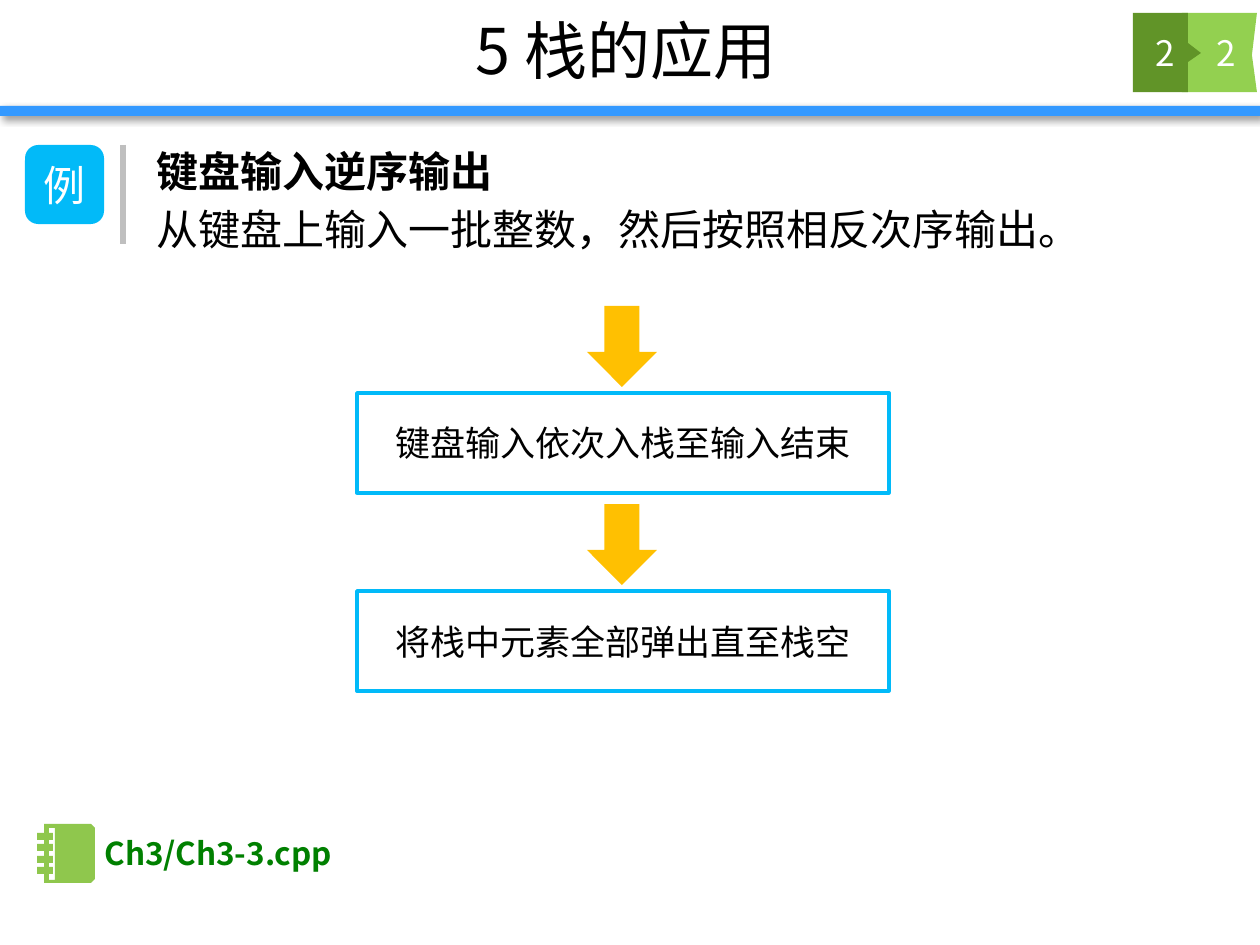
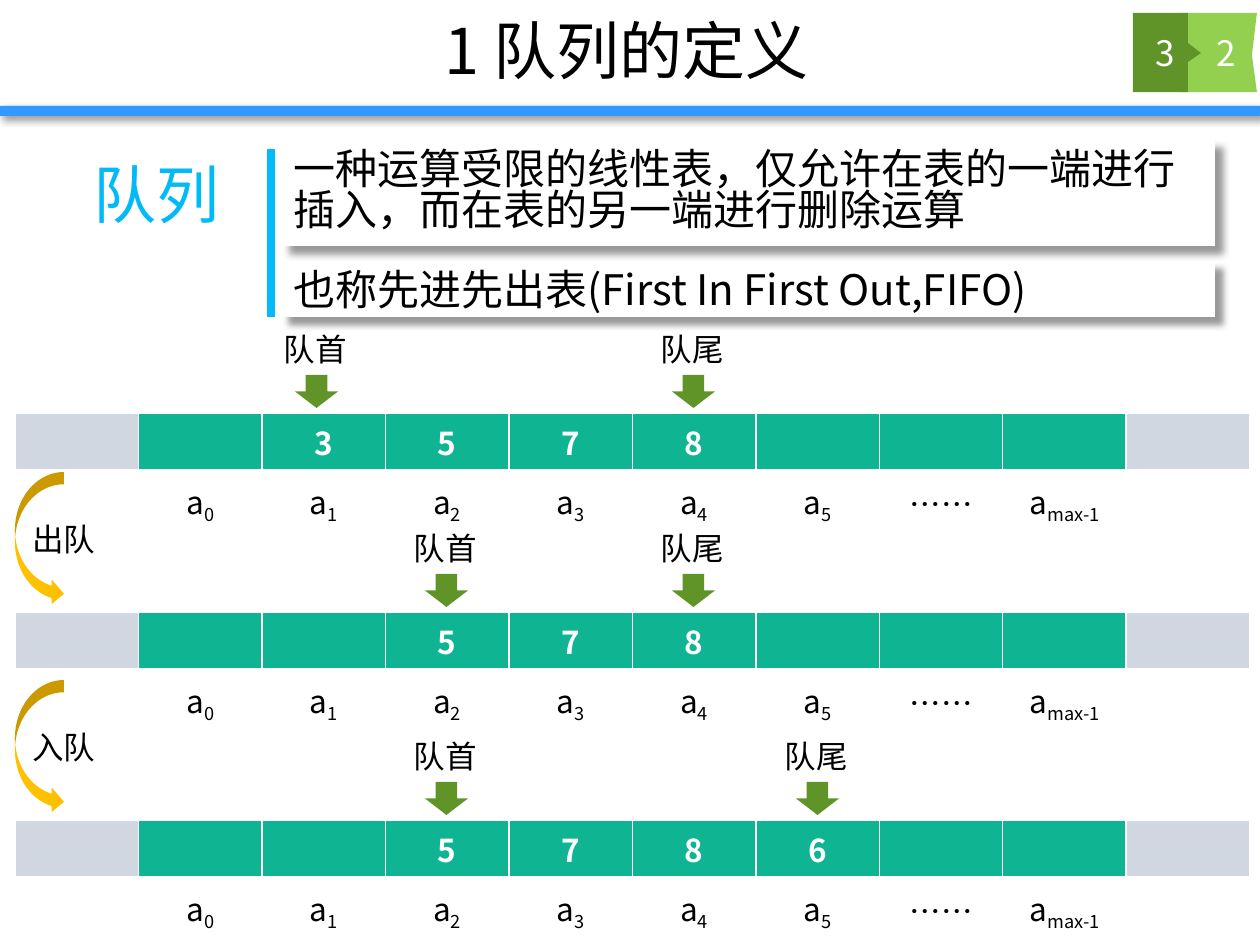
import pptx
import pptx.util
import pptx.dml.color
import pptx.enum.shapes
import pptx.enum.text
import pptx.oxml.ns
import lxml.etree

PX = 7257
FONT = "Noto Sans CJK SC"
BLACK, WHITE = "000000", "FFFFFF"
BAND, SKY, BOX_LINE = "3399FF", "02BAF8", "01BAF9"
GREEN, LIME, AMBER = "619428", "93D050", "FFC001"
NOTEBOOK, FILE_GREEN, RULE = "8FC74D", "008000", "BFBFBF"
CELL, CELL_END = "0FB493", "D1D7E1"

rgb = pptx.dml.color.RGBColor.from_string
qn = pptx.oxml.ns.qn
SHAPE = pptx.enum.shapes.MSO_SHAPE
MIDDLE = pptx.enum.text.MSO_ANCHOR.MIDDLE
CENTER = pptx.enum.text.PP_ALIGN.CENTER
LEFT = pptx.enum.text.PP_ALIGN.LEFT


def write(tf, runs, size, color=BLACK, bold=False, align=CENTER, spacing=None):
    tf.word_wrap = True
    tf.vertical_anchor = MIDDLE
    p = tf.paragraphs[0]
    p.alignment = align
    p.line_spacing = spacing
    for i, text in enumerate(runs):
        r = p.add_run()
        r.text = text
        if i:
            r._r.get_or_add_rPr().set("baseline", "-25000")
    p.font.size = pptx.util.Pt(size)
    p.font.bold = bold
    p.font.color.rgb = rgb(color)
    p.font.name = FONT
    defaults = p._p.pPr.find(qn("a:defRPr"))
    lxml.etree.SubElement(defaults, qn("a:ea"), typeface=FONT)


def add_box(s, kind, x, y, w, h, fill=None, line=None, shadow=0):
    sp = s.shapes.add_shape(kind, x * PX, y * PX, w * PX, h * PX)
    sp.shadow.inherit = False
    if fill:
        sp.fill.solid()
        sp.fill.fore_color.rgb = rgb(fill)
    else:
        sp.fill.background()
    if line:
        sp.line.color.rgb = rgb(line)
        sp.line.width = pptx.util.Pt(2)
    else:
        sp.line.fill.background()
    if shadow:
        effects = sp._element.spPr.find(qn("a:effectLst"))
        outer = lxml.etree.SubElement(
            effects, qn("a:outerShdw"), blurRad=str(pptx.util.Pt(4)),
            dist=str(pptx.util.Pt(shadow)), dir="2700000", algn="tl", rotWithShape="0")
        black = lxml.etree.SubElement(outer, qn("a:srgbClr"), val=BLACK)
        lxml.etree.SubElement(black, qn("a:alpha"), val="40000")
    return sp


prs = pptx.Presentation()
prs.slide_width = 1260 * PX
prs.slide_height = 945 * PX

badges = [
    (LIME, [[(1182, 13), (1257, 13), (1252, 55), (1257, 92), (1182, 92)]]),
    (GREEN, [[(1133, 13), (1188, 13), (1188, 43), (1201, 53), (1188, 62),
              (1188, 92), (1133, 92)]]),
]

rings = [833, 844, 856, 867]
cover = [(91, 824), (44, 824)]
for y in rings:
    cover += [(44, y), (37, y), (37, y + 7), (44, y + 7)]
cover += [(44, 883), (91, 883), (95, 879), (95, 828)]
spine = [(55, 880), (49, 880)]
for y in reversed(rings):
    spine += [(49, y + 7), (53, y + 7), (53, y), (49, y)]
spine += [(49, 828), (55, 828)]

pages = [
    ("5 栈的应用", "2", "2", badges + [(NOTEBOOK, [cover, spine])], (123, 145, 244, RULE, 3)),
    ("1 队列的定义", "3", "2", badges, (271, 149, 317, SKY, 4.5)),
]
for title, chapter, section, outlines, (x, top, bottom, color, width) in pages:
    s = prs.slides.add_slide(prs.slide_layouts[5])
    add_box(s, SHAPE.RECTANGLE, 0, 106, 1260, 10, BAND, shadow=3)
    for fill, contours in outlines:
        fb = s.shapes.build_freeform(*contours[0][0], scale=PX)
        fb.add_line_segments(contours[0][1:], close=True)
        for contour in contours[1:]:
            fb.move_to(*contour[0])
            fb.add_line_segments(contour[1:], close=True)
        sp = fb.convert_to_shape()
        sp.shadow.inherit = False
        sp.fill.solid()
        sp.fill.fore_color.rgb = rgb(fill)
        sp.line.fill.background()
    sp = s.shapes.title
    sp.left, sp.top, sp.width, sp.height = 123 * PX, 1 * PX, 1007 * PX, 97 * PX
    write(sp.text_frame, [title], 36)
    for left, number in [(1126, chapter), (1187, section)]:
        sp = add_box(s, SHAPE.RECTANGLE, left, 13, 78, 79)
        write(sp.text_frame, [number], 20, WHITE)
    line = s.shapes.add_connector(
        pptx.enum.shapes.MSO_CONNECTOR.STRAIGHT, x * PX, top * PX, x * PX, bottom * PX)
    line.line.color.rgb = rgb(color)
    line.line.width = pptx.util.Pt(width)
    lxml.etree.SubElement(line._element.spPr, qn("a:effectLst"))

s = prs.slides[0]
sp = add_box(s, SHAPE.ROUNDED_RECTANGLE, 25, 145, 79, 79, SKY)
write(sp.text_frame, ["例"], 24, WHITE)
for y, text, bold in [(132, "键盘输入逆序输出", True),
                      (190, "从键盘上输入一批整数，然后按照相反次序输出。", False)]:
    sp = add_box(s, SHAPE.RECTANGLE, 144, y, 1111, 68)
    write(sp.text_frame, [text], 24, bold=bold, align=LEFT, spacing=1.2)
for y, text in [(393, "键盘输入依次入栈至输入结束"), (591, "将栈中元素全部弹出直至栈空")]:
    add_box(s, SHAPE.DOWN_ARROW, 587, y - 87, 70, 81, AMBER)
    sp = add_box(s, SHAPE.RECTANGLE, 357, y, 532, 100, WHITE, BOX_LINE)
    write(sp.text_frame, [text], 20)
sp = add_box(s, SHAPE.RECTANGLE, 92, 828, 265, 50)
write(sp.text_frame, ["Ch3/Ch3-3.cpp"], 18, FILE_GREEN, True, LEFT)

s = prs.slides[1]
sp = add_box(s, SHAPE.RECTANGLE, 44, 149, 226, 89)
write(sp.text_frame, ["队列"], 36, SKY)
definitions = [
    (139, 107, 0.82, "一种运算受限的线性表，仅允许在表的一端进行插入，而在表的另一端进行删除运算"),
    (261, 56, None, "也称先进先出表(First In First Out,FIFO)"),
]
for y, h, spacing, text in definitions:
    sp = add_box(s, SHAPE.RECTANGLE, 281, y, 934, h, WHITE, shadow=6)
    write(sp.text_frame, [text], 24, align=LEFT, spacing=spacing)

indexes = [[], ["a", "0"], ["a", "1"], ["a", "2"], ["a", "3"], ["a", "4"],
           ["a", "5"], ["……"], ["a", "max-1"], []]
queues = [
    (413, {2: "3", 3: "5", 4: "7", 5: "8"}, 316, 693),
    (612, {3: "5", 4: "7", 5: "8"}, 446, 693),
    (820, {3: "5", 4: "7", 5: "8", 6: "6"}, 446, 817),
]
for y, values, front, rear in queues:
    table = s.shapes.add_table(2, 10, 15 * PX, y * PX, 1235 * PX, 114 * PX).table
    table.first_row = table.horz_banding = False
    for row in range(2):
        for col in range(10):
            cell = table.cell(row, col)
            tcPr = cell._tc.get_or_add_tcPr()
            for side in "LRTB":
                thick = 3 if (row, side) in [(0, "B"), (1, "T")] else 1
                ln = lxml.etree.SubElement(
                    tcPr, qn("a:ln" + side), w=str(pptx.util.Pt(thick)))
                solid = lxml.etree.SubElement(ln, qn("a:solidFill"))
                lxml.etree.SubElement(solid, qn("a:srgbClr"), val=WHITE)
            if row == 0:
                cell.fill.solid()
                cell.fill.fore_color.rgb = rgb(CELL_END if col in (0, 9) else CELL)
                runs = [values[col]] if col in values else []
                write(cell.text_frame, runs, 18, WHITE, True)
            else:
                cell.fill.background()
                write(cell.text_frame, indexes[col], 18)
            cell.vertical_anchor = MIDDLE
    for center, text in [(front, "队首"), (rear, "队尾")]:
        add_box(s, SHAPE.DOWN_ARROW, center - 21, y - 38, 43, 33, GREEN)
        sp = add_box(s, SHAPE.RECTANGLE, center - 57, y - 89, 113, 50)
        write(sp.text_frame, [text], 18)

for y, text in [(472, "出队"), (680, "入队")]:
    add_box(s, SHAPE.CURVED_RIGHT_ARROW, 15, y, 49, 134, "FFC000")
    sp = add_box(s, SHAPE.RECTANGLE, 20, y + 42, 96, 50)
    write(sp.text_frame, [text], 18, align=LEFT)

prs.save("out.pptx")
